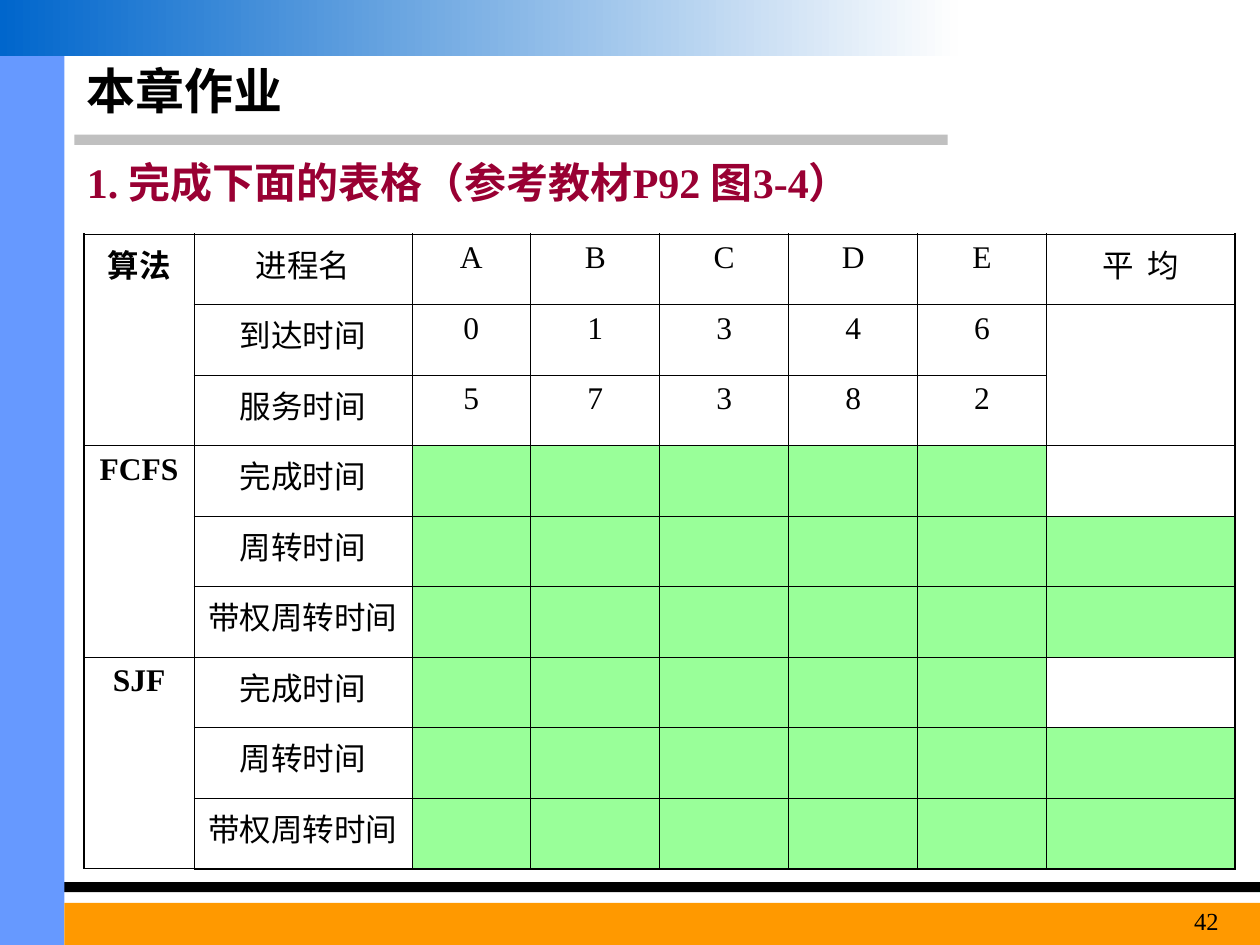
from dataclasses import dataclass
from typing import Optional

from lxml import etree
from pptx import Presentation
from pptx.dml.color import RGBColor
from pptx.enum import shapes, text
from pptx.oxml import ns
from pptx.util import Pt


@dataclass(frozen=True)
class Theme:
    black: str = "000000"
    grey: str = "C0C0C0"
    blue: str = "6699FF"
    deep_blue: str = "0066CC"
    near_white: str = "FEFEFE"
    orange: str = "FF9900"
    crimson: str = "990033"
    green: str = "99FF99"
    title_size: float = 28
    question_size: float = 24
    table_size: float = 18
    number_size: float = 14
    heading_font: str = "Arial"
    body_font: str = "Times New Roman"
    outer_line: float = 1.08
    inner_line: float = 0.45


@dataclass(frozen=True)
class Box:
    left: float
    top: float
    width: float
    height: float

    def emu(self) -> tuple:
        return Pt(self.left), Pt(self.top), Pt(self.width), Pt(self.height)


@dataclass(frozen=True)
class Band:
    box: Box
    color: str
    fade_to: Optional[str] = None


@dataclass(frozen=True)
class Group:
    name: str
    rows: tuple


THEME = Theme()
BANDS = (
    Band(Box(42.5, 77, 499, 5.8), THEME.grey),
    Band(Box(0, 504, 720, 5.8), THEME.black),
    Band(Box(0, 31.7, 36.8, 508.3), THEME.blue),
    Band(Box(36.8, 516, 683.2, 24), THEME.orange),
    Band(Box(0, 0, 547.2, 31.9), THEME.near_white, fade_to=THEME.deep_blue),
)
METRICS = (("完成时间",), ("周转时间",), ("带权周转时间",))
GROUPS = (
    Group("算法", (("进程名", *"ABCDE", "平  均"),
                 ("到达时间", *"01346"),
                 ("服务时间", *"57382"))),
    Group("FCFS", METRICS),
    Group("SJF", METRICS),
)
GROUP_ROWS = 3
TABLE_AT = (48.2, 133.9)
COLUMN_WIDTHS = (62.6, 124.6, 68, 73.7, 73.7, 73.7, 73.7, 107.8)
ROW_HEIGHT = 40.3


def write(tf, content: str, *, size: float, font: str = THEME.body_font,
          color: str = THEME.black, bold: bool = False,
          align=text.PP_ALIGN.LEFT, before: float = 0) -> None:
    p = tf.paragraphs[0]
    p.alignment = align
    p.space_before = Pt(before)
    r = p.add_run()
    r.text = content
    r.font.size = Pt(size)
    r.font.name = font
    r.font.bold = bold
    r.font.color.rgb = RGBColor.from_string(color)


def add_text(slide, box: Box, content: str, *,
             anchor=text.MSO_ANCHOR.TOP, **style) -> None:
    tf = slide.shapes.add_textbox(*box.emu()).text_frame
    tf.word_wrap = True
    tf.vertical_anchor = anchor
    write(tf, content, **style)


def add_band(slide, band: Band) -> None:
    sp = slide.shapes.add_shape(shapes.MSO_SHAPE.RECTANGLE, *band.box.emu())
    sp.shadow.inherit = False
    sp.line.fill.background()
    if band.fade_to is None:
        sp.fill.solid()
        sp.fill.fore_color.rgb = RGBColor.from_string(band.color)
        return
    sp.fill.gradient()
    sp.fill.gradient_angle = 180
    for stop, position, color in zip(sp.fill.gradient_stops, (0, 1),
                                     (band.color, band.fade_to)):
        stop.position = position
        stop.color.rgb = RGBColor.from_string(color)


def set_borders(cell, outer_sides: dict) -> None:
    """Draw the four sides; a true value marks a side on the table's edge."""
    tc_pr = cell._tc.get_or_add_tcPr()
    for side, is_outer in outer_sides.items():
        width = THEME.outer_line if is_outer else THEME.inner_line
        ln = etree.SubElement(tc_pr, ns.qn(f"a:ln{side}"), w=str(Pt(width)))
        fill = etree.SubElement(ln, ns.qn("a:solidFill"))
        etree.SubElement(fill, ns.qn("a:srgbClr"), val=THEME.black)


def is_answer(row: int, col: int) -> bool:
    """Cells to be filled in; completion times have no average."""
    last_col = len(COLUMN_WIDTHS) - 1
    return (row >= GROUP_ROWS and col >= 2
            and not (col == last_col and row % GROUP_ROWS == 0))


def add_schedule_table(slide) -> None:
    n_rows, n_cols = GROUP_ROWS * len(GROUPS), len(COLUMN_WIDTHS)
    box = Box(*TABLE_AT, sum(COLUMN_WIDTHS), ROW_HEIGHT * n_rows)
    table = slide.shapes.add_table(n_rows, n_cols, *box.emu()).table
    table.first_row = table.horz_banding = False
    for column, width in zip(table.columns, COLUMN_WIDTHS):
        column.width = Pt(width)

    for i in range(n_rows):
        table.rows[i].height = Pt(ROW_HEIGHT)
        group, offset = GROUPS[i // GROUP_ROWS], i % GROUP_ROWS
        labels = (group.name if offset == 0 else "", *group.rows[offset])
        for j in range(n_cols):
            cell = table.cell(i, j)
            set_borders(cell, {"L": j == 0, "R": j == n_cols - 1,
                               "T": i == 0, "B": i == n_rows - 1})
            if is_answer(i, j):
                cell.fill.solid()
                cell.fill.fore_color.rgb = RGBColor.from_string(THEME.green)
            else:
                cell.fill.background()
            if j < len(labels) and labels[j]:
                write(cell.text_frame, labels[j], size=THEME.table_size,
                      bold=j == 0, align=text.PP_ALIGN.CENTER, before=4.5)

    for top in range(0, n_rows, GROUP_ROWS):
        table.cell(top, 0).merge(table.cell(top + GROUP_ROWS - 1, 0))
    table.cell(1, n_cols - 1).merge(table.cell(2, n_cols - 1))


def main() -> None:
    prs = Presentation()
    prs.slide_width, prs.slide_height = Pt(720), Pt(540)
    slide = prs.slides.add_slide(prs.slide_layouts[6])
    for band in BANDS:
        add_band(slide, band)
    add_text(slide, Box(42.5, 31.7, 493.2, 39.6), "本章作业",
             anchor=text.MSO_ANCHOR.MIDDLE, size=THEME.title_size,
             font=THEME.heading_font, bold=True)
    add_text(slide, Box(42.5, 85.7, 481.7, 36),
             "1. 完成下面的表格（参考教材P92 图3-4）",
             size=THEME.question_size, color=THEME.crimson, bold=True, before=15)
    add_schedule_table(slide)
    add_text(slide, Box(638, 514, 65.5, 26), "42", size=THEME.number_size,
             align=text.PP_ALIGN.RIGHT)
    prs.save("out.pptx")


if __name__ == "__main__":
    main()
